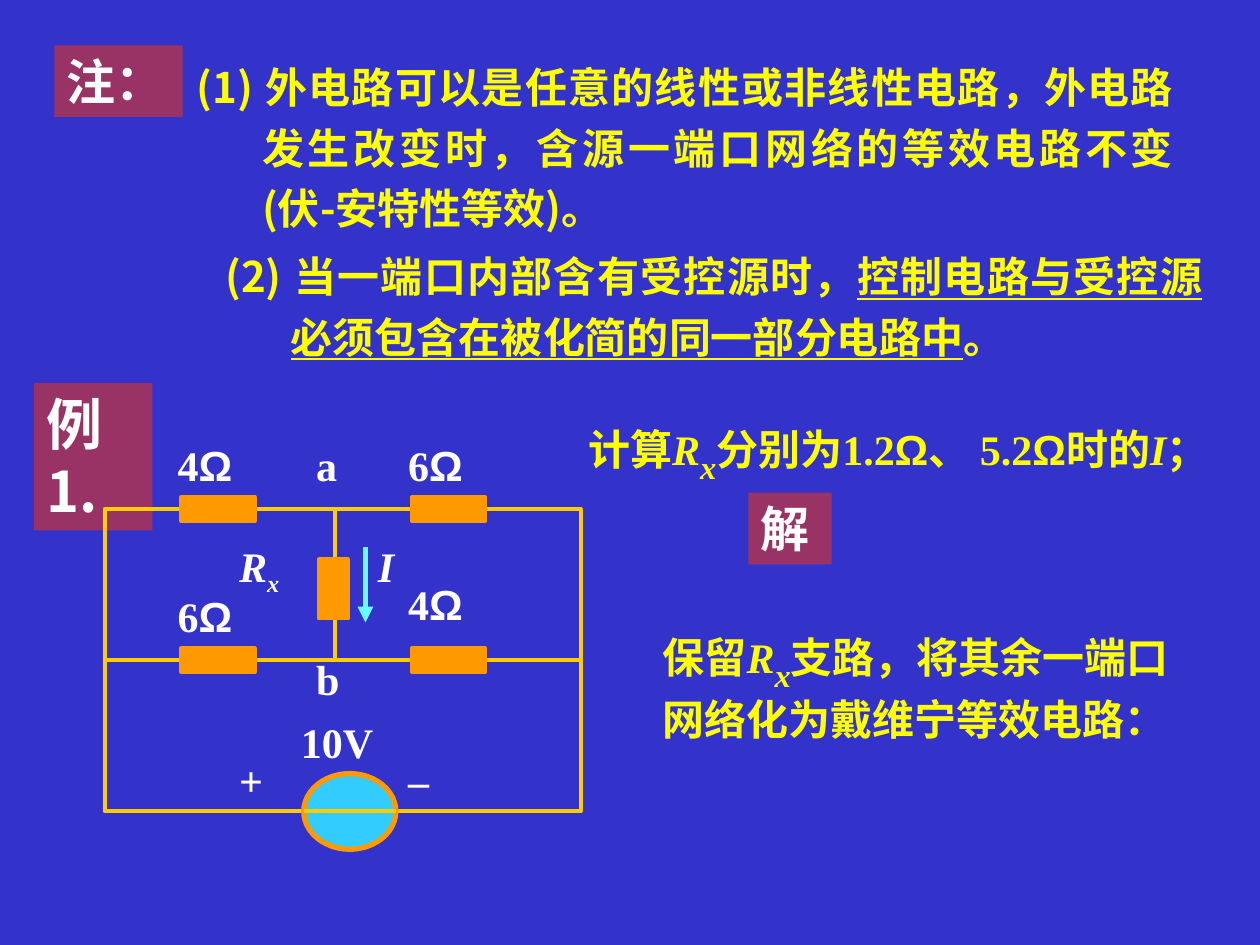
from dataclasses import dataclass

from lxml import etree
from pptx import Presentation
from pptx import util as u
from pptx.dml.color import RGBColor
from pptx.enum import shapes, text
from pptx.oxml.ns import qn


@dataclass(frozen=True)
class Theme:
    background: str = "3333CC"
    badge: str = "993366"
    white: str = "FFFFFF"
    yellow: str = "FFFF00"
    wire: str = "FFCC00"
    resistor: str = "FF9900"
    source: str = "33CCFF"
    current: str = "66FFFF"
    chinese: str = "Noto Sans CJK SC"
    serif: str = "Times New Roman"
    sans: str = "Arial"
    body: int = 24
    heading: int = 28
    large: int = 32
    thin: float = 2.25
    thick: float = 3


THEME = Theme()
CHINESE = {"name": THEME.chinese}
SERIF = {"name": THEME.serif}
SANS = {"name": THEME.sans}
VARIABLE = {"name": THEME.serif, "italic": True}
SUBSCRIPT = {**VARIABLE, "baseline": -25000}
LARGE_SUBSCRIPT = {**SUBSCRIPT, "size": THEME.large}


def apply(target, values):
    for name, value in values.items():
        setattr(target, name, value)


def add_run(paragraph, words, style, color):
    run = paragraph.add_run()
    run.text = words
    values = {"size": THEME.body, "bold": True, **style}
    baseline = values.pop("baseline", None)
    values["size"] = u.Pt(values["size"])
    apply(run.font, values)
    run.font.color.rgb = RGBColor.from_string(color)
    properties = run._r.get_or_add_rPr()
    etree.SubElement(properties, qn("a:ea")).set("typeface", THEME.chinese)
    if baseline:
        properties.set("baseline", str(baseline))


def write(shape, runs, color, hanging=0, line_spacing=None, align=text.PP_ALIGN.LEFT):
    frame = shape.text_frame
    apply(frame, {
        "word_wrap": True,
        "auto_size": text.MSO_AUTO_SIZE.SHAPE_TO_FIT_TEXT,
        "vertical_anchor": text.MSO_ANCHOR.TOP,
        "margin_left": u.Pt(7.2), "margin_right": u.Pt(7.2),
        "margin_top": u.Pt(3.6), "margin_bottom": u.Pt(3.6),
    })
    paragraph = frame.paragraphs[0]
    apply(paragraph, {"alignment": align, "line_spacing": line_spacing})
    if hanging:
        properties = paragraph._p.get_or_add_pPr()
        properties.set("marL", str(u.Pt(hanging)))
        properties.set("indent", str(-u.Pt(hanging)))
    for words, style in runs:
        add_run(paragraph, words, style, color)


def add_text(parent, box, runs, color, **layout):
    shape = parent.add_textbox(*map(u.Pt, box))
    write(shape, runs, color, **layout)


def add_block(parent, kind, box, fill=None, line=None, width=THEME.thin):
    shape = parent.add_shape(kind, *map(u.Pt, box))
    shape.shadow.inherit = False
    if fill:
        shape.fill.solid()
        shape.fill.fore_color.rgb = RGBColor.from_string(fill)
    else:
        shape.fill.background()
    if line:
        shape.line.color.rgb = RGBColor.from_string(line)
        shape.line.width = u.Pt(width)
    else:
        shape.line.fill.background()
    return shape


def add_wire(parent, start, end, color=THEME.wire, width=THEME.thin, arrow=False):
    wire = parent.add_connector(shapes.MSO_CONNECTOR.STRAIGHT, *map(u.Pt, (*start, *end)))
    wire.line.color.rgb = RGBColor.from_string(color)
    wire.line.width = u.Pt(width)
    if arrow:
        etree.SubElement(wire.line._get_or_add_ln(), qn("a:tailEnd")).set("type", "triangle")
    etree.SubElement(wire._element.spPr, qn("a:effectLst"))


def add_badge(parent, box, words, style):
    badge = add_block(parent, shapes.MSO_SHAPE.RECTANGLE, box, THEME.badge)
    write(badge, [(words, style)], THEME.white)


def add_notes_region(parent, left, top):
    underlined = {**CHINESE, "underline": True}
    layout = {"hanging": 37.5, "line_spacing": 1.2, "align": text.PP_ALIGN.JUSTIFY}
    add_text(parent, (left + 74.2, top, 572.4, 110.9), [
        ("(1) 外电路可以是任意的线性或非线性电路，外电路发生改变时，"
         "含源一端口网络的等效电路不变(伏-安特性等效)。", CHINESE),
    ], THEME.yellow, **layout)
    add_text(parent, (left + 90.7, top + 108, 572.4, 76.3), [
        ("(2) 当一端口内部含有受控源时，", CHINESE),
        ("控制电路与受控源必须包含在被化简的同一部分电路中", underlined),
        ("。", CHINESE),
    ], THEME.yellow, **layout)
    add_badge(parent, (left, top, 73.4, 41), "注：", {**SANS, "size": THEME.heading})


def add_question_region(parent, left, top):
    add_badge(parent, (left, top, 67.7, 84.2), "例1.", {**CHINESE, "size": THEME.large})
    add_text(parent, (left + 309.6, top + 11.5, 391, 79.9), [
        ("计算", CHINESE), ("R", VARIABLE), ("x", LARGE_SUBSCRIPT), ("分别为", CHINESE),
        ("1.2", SERIF), ("Ω", SANS), ("、 5.2", SERIF), ("Ω", SANS),
        ("时的", CHINESE), ("I", VARIABLE), ("；", CHINESE),
    ], THEME.yellow, hanging=27.4)


def add_circuit(parent, left, top, width, height):
    circuit = parent.add_group_shape().shapes
    rectangle = shapes.MSO_SHAPE.RECTANGLE
    middle = top + height / 2
    bottom = top + height
    branch = left + 131.8
    source_left, source_width, source_height = left + 113.8, 52.6, 43.2

    add_block(circuit, rectangle, (left, top, width, height), line=THEME.wire)
    add_wire(circuit, (left, middle), (left + width, middle))
    add_wire(circuit, (branch, top), (branch, middle))
    add_wire(circuit, (left + 149, top + 21.6), (left + 149, top + 64.8),
             THEME.current, THEME.thick, arrow=True)
    add_block(circuit, shapes.MSO_SHAPE.OVAL,
              (source_left, bottom - source_height / 2, source_width, source_height),
              THEME.source, THEME.resistor, THEME.thick)
    add_wire(circuit, (source_left, bottom), (source_left + source_width, bottom))

    resistors = [(left + x, y - 6.9, 41.8, 13.8) for y in (top, middle) for x in (43.9, 175.7)]
    resistors.append((branch - 9.4, top + 28.8, 16.6, 33.8))
    for box in resistors:
        add_block(circuit, rectangle, box, THEME.resistor, THEME.resistor)

    labels = [
        (149, 14.4, 44, [("I", VARIABLE)]),
        (69.8, 14.4, 61, [("R", VARIABLE), ("x", SUBSCRIPT)]),
        (113.8, -43.2, 44, [("a", SERIF)]),
        (113.8, 79.2, 44, [("b", SERIF)]),
        (69.8, 136.8, 44, [("+", SERIF)]),
        (166.3, 136.8, 52.6, [("–", SERIF)]),
        (105.1, 115.2, 96.5, [("10V", SERIF)]),
    ]
    resistances = [(34.6, -43.2, "4"), (166.3, -43.2, "6"), (34.6, 43.2, "6"), (166.3, 36, "4")]
    labels += [(x, y, 79, [(value, SERIF), ("Ω", SANS)]) for x, y, value in resistances]
    for x, y, label_width, runs in labels:
        add_text(circuit, (left + x, top + y, label_width, 36), runs, THEME.white)


def add_solution_region(parent, left, top):
    add_badge(parent, (left + 56.2, top, 47.5, 41), "解", {**SERIF, "size": THEME.heading})
    add_text(parent, (left, top + 67.7, 306, 79.9), [
        ("保留", CHINESE), ("R", VARIABLE), ("x", LARGE_SUBSCRIPT),
        ("支路，将其余一端口网络化为戴维宁等效电路：", CHINESE),
    ], THEME.yellow)


def main():
    presentation = Presentation()
    apply(presentation, {"slide_width": u.Pt(720), "slide_height": u.Pt(540)})
    slide = presentation.slides.add_slide(presentation.slide_layouts[6])
    slide.background.fill.solid()
    slide.background.fill.fore_color.rgb = RGBColor.from_string(THEME.background)
    add_notes_region(slide.shapes, 31, 25.9)
    add_question_region(slide.shapes, 19.4, 218.9)
    add_circuit(slide.shapes, 59.8, 290.9, 272.2, 172.8)
    add_solution_region(slide.shapes, 371.5, 281.5)
    presentation.save("out.pptx")


if __name__ == "__main__":
    main()
